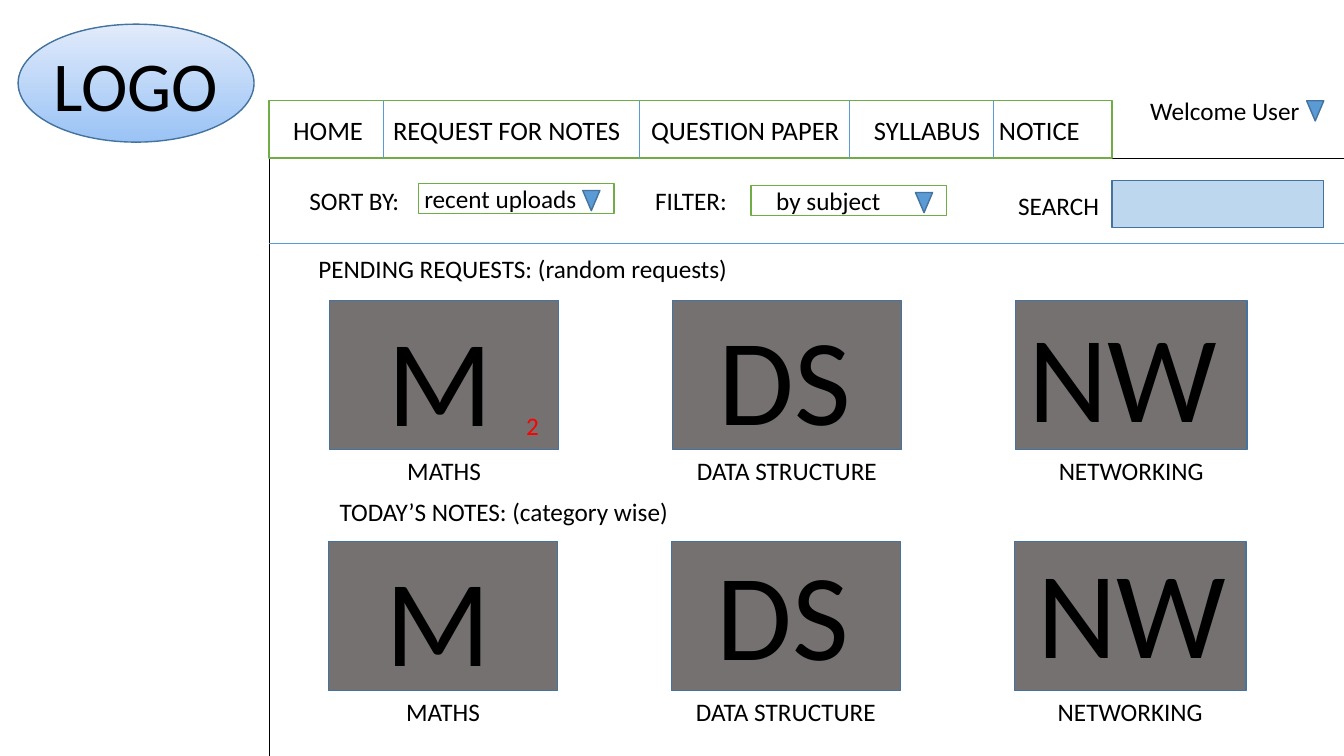
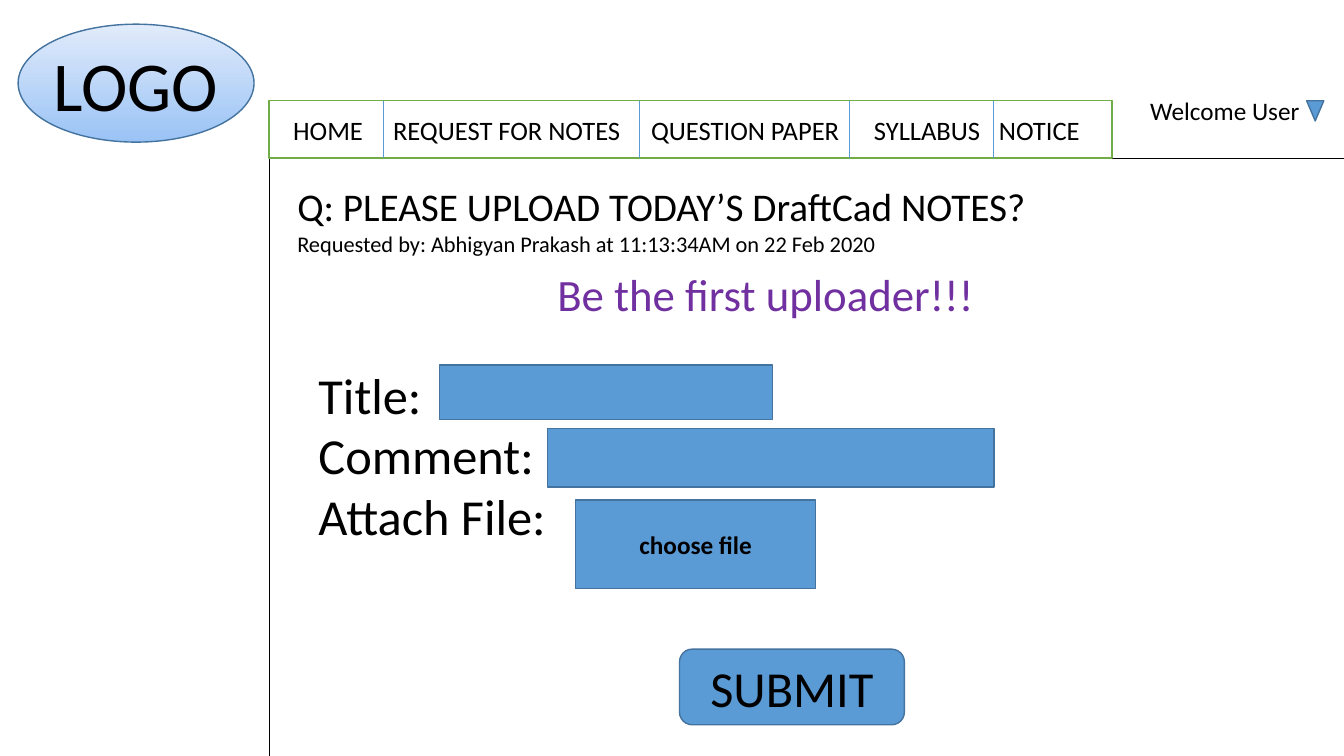
from lxml import etree
from pptx import Presentation
from pptx.dml.color import RGBColor
from pptx.enum.shapes import MSO_CONNECTOR, MSO_SHAPE
from pptx.enum.text import MSO_ANCHOR, MSO_AUTO_SIZE, PP_ALIGN
from pptx.oxml.ns import qn
from pptx.util import Emu, Pt

PX = 9144  # 100 px to the inch
WIDTH, HEIGHT = 1333, 750
FONT = "Calibri"

BLACK = RGBColor(0x00, 0x00, 0x00)
WHITE = RGBColor(0xFF, 0xFF, 0xFF)
RED = RGBColor(0xFF, 0x00, 0x00)
PURPLE = RGBColor(0x70, 0x30, 0xA0)
GREEN = RGBColor(0x70, 0xAD, 0x47)
BLUE = RGBColor(0x5B, 0x9B, 0xD5)
DARK_BLUE = RGBColor(0x43, 0x73, 0x9E)
PALE_BLUE = RGBColor(0xBD, 0xD7, 0xEE)
LOGO_BOTTOM = RGBColor(0x9A, 0xC3, 0xF5)
LOGO_TOP = RGBColor(0xE1, 0xEB, 0xFB)
GRAY = RGBColor(0x76, 0x71, 0x71)

SIDEBAR_X, NAV_TOP, NAV_BOTTOM, NAV_RIGHT = 267, 100, 157, 1103
NAV_LABELS = [("HOME", 281), ("REQUEST FOR NOTES", 380), ("QUESTION PAPER", 636),
              ("SYLLABUS", 857), ("NOTICE", 981)]
NAV_DIVIDERS = [380, 634, 842, 985]

# letters, caption, tile width
SUBJECTS = [("M", "MATHS", 227), ("DS", "DATA STRUCTURE", 227), ("NW", "NETWORKING", 230)]
TILE_PITCH, TILE_HEIGHT = 340, 148


def px(*lengths):
    return [Emu(n * PX) for n in lengths]


def style(p, size, color, bold=False, align=PP_ALIGN.LEFT):
    p.font.name = FONT
    p.font.size = Pt(size)
    p.font.color.rgb = color
    p.font.bold = bold
    p.alignment = align


def add_text(slide, left, top, width, *lines, size=18, color=BLACK, align=PP_ALIGN.LEFT):
    """Add a text box as high as its lines, one paragraph for each."""
    height = round(len(lines) * size * 1.2 / 0.72) + 10
    tf = slide.shapes.add_textbox(*px(left, top, width, height)).text_frame
    tf.word_wrap = True
    tf.auto_size = MSO_AUTO_SIZE.SHAPE_TO_FIT_TEXT
    tf.text = "\n".join(lines)
    for p in tf.paragraphs:
        style(p, size, color, align=align)


def add_box(slide, left, top, width, height, fill=BLUE, line=DARK_BLUE,
            kind=MSO_SHAPE.RECTANGLE):
    sp = slide.shapes.add_shape(kind, *px(left, top, width, height))
    sp.shadow.inherit = False
    sp.fill.solid()
    sp.fill.fore_color.rgb = fill
    sp.line.color.rgb = line
    sp.line.width = Pt(1)
    return sp


def label_box(sp, text, size, bold=False):
    tf = sp.text_frame
    tf.word_wrap = False
    tf.vertical_anchor = MSO_ANCHOR.MIDDLE
    tf.text = text
    style(tf.paragraphs[0], size, BLACK, bold, PP_ALIGN.CENTER)


def add_line(slide, x1, y1, x2, y2, color=BLACK):
    line = slide.shapes.add_connector(MSO_CONNECTOR.STRAIGHT, *px(x1, y1, x2, y2))
    line.line.color.rgb = color
    line.line.width = Pt(0.5)
    etree.SubElement(line._element.spPr, qn("a:effectLst"))


def add_arrow(slide, left, top):
    add_box(slide, left, top, 17, 20, kind=MSO_SHAPE.FLOWCHART_MERGE)


def add_dropdown(slide, left, top, text, indent):
    add_box(slide, left, top, 194, 30, WHITE, GREEN)
    add_arrow(slide, left + 163, top + 7)
    add_text(slide, left + indent, top - 5, 178, text)


def add_logo(slide):
    sp = add_box(slide, 18, 24, 234, 117, kind=MSO_SHAPE.OVAL)
    sp.fill.gradient()
    sp.fill.gradient_angle = 90
    for stop, color in zip(sp.fill.gradient_stops, (LOGO_BOTTOM, LOGO_TOP)):
        stop.color.rgb = color
    label_box(sp, "LOGO", 50)


def add_page(prs):
    """Add a slide with the frame, logo and navigation that all pages share."""
    slide = prs.slides.add_slide(prs.slide_layouts[6])
    add_line(slide, SIDEBAR_X, NAV_BOTTOM, SIDEBAR_X, HEIGHT)
    add_line(slide, SIDEBAR_X, NAV_BOTTOM, WIDTH, NAV_BOTTOM)
    add_logo(slide)
    add_text(slide, 1131, 90, 173, "Welcome User")
    add_arrow(slide, 1296, 100)
    add_box(slide, SIDEBAR_X, NAV_TOP, NAV_RIGHT - SIDEBAR_X, NAV_BOTTOM - NAV_TOP,
            WHITE, GREEN)
    for text, left in NAV_LABELS:
        add_text(slide, left, 108, 260, text, size=19)
    for x in NAV_DIVIDERS:
        add_line(slide, x, NAV_TOP, x, NAV_BOTTOM, BLUE)
    return slide


def add_tile_row(slide, left, top, letter_places):
    for i, ((letters, caption, width), place) in enumerate(zip(SUBJECTS, letter_places)):
        x = left + i * TILE_PITCH
        add_box(slide, x, top, width, TILE_HEIGHT, GRAY)
        add_text(slide, x, top + TILE_HEIGHT + 1, width, caption, align=PP_ALIGN.CENTER)
        add_text(slide, *place, 218, letters, size=88)


def build_home(prs):
    slide = add_page(prs)
    add_text(slide, 297, 179, 115, "SORT BY:")
    add_dropdown(slide, 415, 182, "recent uploads", -4)
    add_text(slide, 640, 179, 100, "FILTER:")
    add_dropdown(slide, 745, 184, "by subject", 15)
    add_text(slide, 1000, 184, 118, "SEARCH")
    add_box(slide, 1103, 179, 210, 47, PALE_BLUE)
    add_line(slide, SIDEBAR_X, 241, WIDTH, 241, BLUE)

    add_text(slide, 306, 246, 432, "PENDING REQUESTS: (random requests)")
    add_tile_row(slide, 327, 298, [(374, 296), (703, 295), (1010, 292)])
    add_text(slide, 512, 402, 42, "2", color=RED)
    add_text(slide, 327, 487, 386, "TODAY’S NOTES: (category wise)")
    add_tile_row(slide, 326, 537, [(373, 534), (701, 528), (1019, 526)])


def build_upload(prs):
    slide = add_page(prs)
    add_text(slide, 285, 176, 1028, "Q: PLEASE UPLOAD TODAY’S DraftCad NOTES?", size=28)
    add_text(slide, 285, 223, 1028,
             "Requested by: Abhigyan Prakash at 11:13:34AM on 22 Feb 2020", size=16)
    add_text(slide, 543, 260, 515, "Be the first uploader!!!", size=32, color=PURPLE)
    add_text(slide, 306, 356, 589, "Title:", "Comment:", "Attach File:", size=36)
    add_box(slide, 436, 362, 330, 54)
    add_box(slide, 543, 425, 443, 58)
    label_box(add_box(slide, 571, 496, 238, 88), "choose file", 18, bold=True)
    submit = add_box(slide, 674, 644, 223, 75, kind=MSO_SHAPE.ROUNDED_RECTANGLE)
    label_box(submit, "SUBMIT", 36)


def main():
    prs = Presentation()
    prs.slide_width, prs.slide_height = px(WIDTH, HEIGHT)
    build_home(prs)
    build_upload(prs)
    prs.save("out.pptx")


if __name__ == "__main__":
    main()
